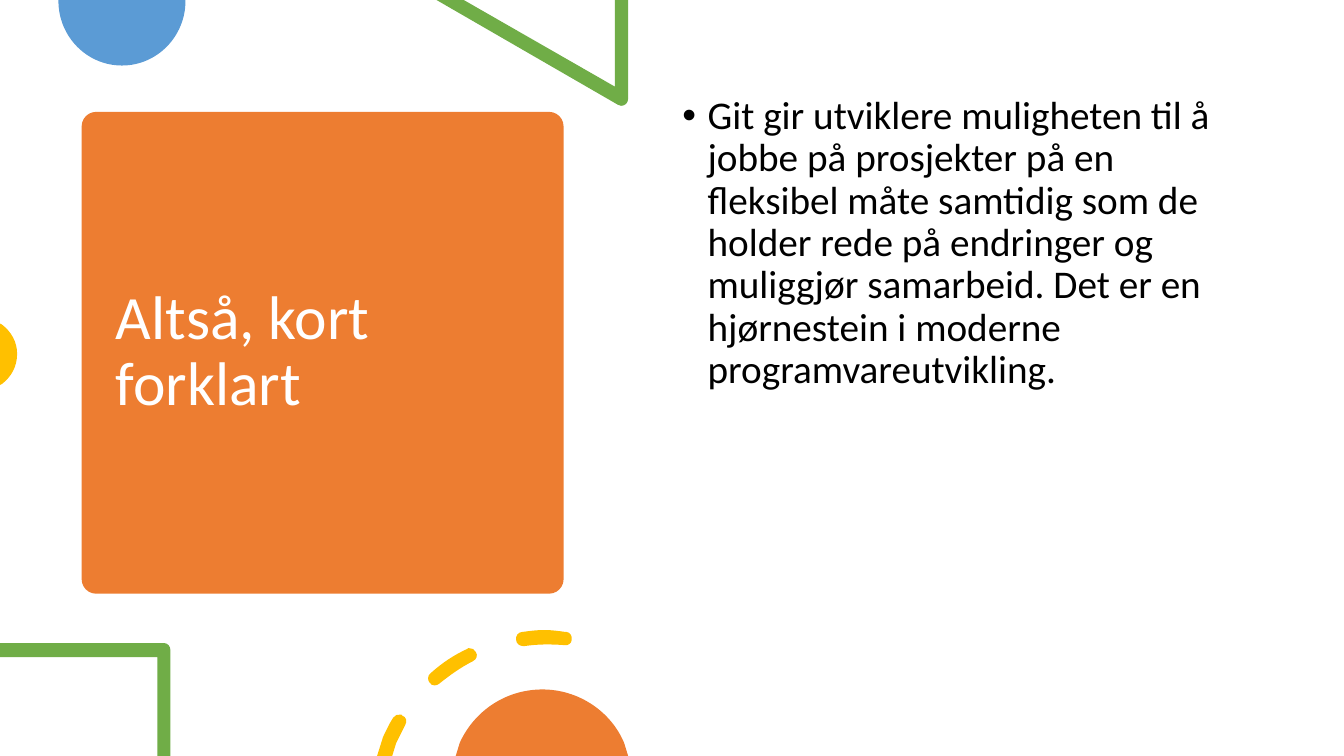
import lxml.etree
import pptx
import pptx.dml.color
import pptx.enum.shapes
import pptx.enum.text
import pptx.oxml.ns
import pptx.util

ORANGE = pptx.dml.color.RGBColor(0xED, 0x7D, 0x31)
BLUE = pptx.dml.color.RGBColor(0x5B, 0x9B, 0xD5)
GREEN = pptx.dml.color.RGBColor(0x70, 0xAD, 0x47)
YELLOW = pptx.dml.color.RGBColor(0xFF, 0xC0, 0x00)
WHITE = pptx.dml.color.RGBColor(0xFF, 0xFF, 0xFF)
BLACK = pptx.dml.color.RGBColor(0x00, 0x00, 0x00)

COLUMNS, ROWS = 1333, 750

BLUE_DISC = [[(184, 0), (58, 0), (58, 1), (58, 36, 86, 65, 121, 65), (156, 65, 184, 36, 184, 1)]]
GREEN_TRIANGLE = [[(623, 0), (610, 0), (610, 86), (460, 0), (433, 0), (613, 104),
                   (614, 105, 615, 105, 616, 105), (620, 105, 623, 102, 623, 98)]]
YELLOW_DISC = [[(0, 321), (0, 382), (2, 381), (11, 374, 17, 364, 17, 351),
                (17, 339, 11, 329, 2, 322)]]
GREEN_SQUARE = [[(163, 638), (0, 638), (0, 652), (156, 652), (156, 750), (169, 750),
                 (169, 645), (169, 641, 166, 638, 163, 638)]]
YELLOW_DASHES = [
    [(397, 709), (394, 708, 392, 710, 390, 712), (386, 718, 383, 725, 380, 731), (374, 750),
     (389, 750), (393, 737), (396, 731, 399, 725, 402, 719), (404, 716, 403, 711, 399, 710),
     (399, 709, 398, 709, 397, 709)],
    [(465, 643), (465, 643, 464, 643, 463, 644), (450, 650, 438, 658, 427, 668),
     (424, 670, 424, 675, 426, 677), (427, 679, 429, 680, 431, 680), (431, 680),
     (433, 680, 435, 679, 436, 678), (446, 670, 457, 662, 469, 656),
     (473, 654, 474, 650, 472, 647), (471, 644, 468, 643, 465, 643)],
    [(540, 625), (532, 625, 525, 626, 518, 627), (514, 627, 511, 631, 512, 635),
     (512, 638, 515, 641, 519, 641), (519, 641, 519, 641, 520, 641),
     (533, 639, 546, 639, 560, 640), (563, 641, 567, 638, 567, 635),
     (568, 631, 565, 627, 562, 627), (562, 627, 561, 627, 561, 627),
     (554, 626, 547, 625, 540, 625)],
]
ORANGE_DISC = [[(538, 684), (501, 684, 470, 706, 456, 737), (452, 750), (623, 750),
                (619, 737), (606, 706, 574, 684, 538, 684)]]


class SlideBuilder:
    """Draws elements on one slide, with lengths in columns and rows of a fine grid."""

    font_name = "Calibri"
    line_spacing = 0.9

    def __init__(self, presentation):
        self.column = presentation.slide_width / COLUMNS
        self.row = presentation.slide_height / ROWS
        self.slide = presentation.slides.add_slide(presentation.slide_layouts[6])

    def point(self, column, row):
        return round(column * self.column), round(row * self.row)

    def box(self, left, top, width, height):
        return self.point(left, top) + self.point(width, height)

    def paint(self, shape, color):
        shape.shadow.inherit = False
        shape.fill.solid()
        shape.fill.fore_color.rgb = color
        shape.line.fill.background()

    def rounded_panel(self, area, color, corner):
        kind = pptx.enum.shapes.MSO_SHAPE.ROUNDED_RECTANGLE
        shape = self.slide.shapes.add_shape(kind, *self.box(*area))
        shape.adjustments[0] = corner
        self.paint(shape, color)

    def outline(self, contours, color):
        builder = self.slide.shapes.build_freeform(*self.point(*contours[0][0]))
        for number, (start, *steps) in enumerate(contours):
            if number:
                builder.move_to(*self.point(*start))
            points = [self.point(*step[index:index + 2])
                      for step in steps for index in range(0, len(step), 2)]
            builder.add_line_segments(points, close=True)
        shape = builder.convert_to_shape()
        self.bend(shape, [step for contour in contours for step in contour[1:]])
        self.paint(shape, color)

    def bend(self, shape, steps):
        qualify = pptx.oxml.ns.qn
        segments = iter(list(shape._element.iter(qualify("a:lnTo"))))
        for step in steps:
            first, *others = [next(segments) for _ in range(len(step) // 2)]
            if others:
                first.tag = qualify("a:cubicBezTo")
                for segment in others:
                    first.append(segment[0])
                    segment.getparent().remove(segment)

    def text(self, area, wording, size, color, anchor, bullet=False):
        frame = self.slide.shapes.add_textbox(*self.box(*area)).text_frame
        frame.word_wrap = True
        frame.vertical_anchor = anchor
        paragraph = frame.paragraphs[0]
        paragraph.line_spacing = self.line_spacing
        if bullet:
            self.add_bullet(paragraph)
        run = paragraph.add_run()
        run.text = wording
        run.font.name = self.font_name
        run.font.size = pptx.util.Pt(size)
        run.font.color.rgb = color

    def add_bullet(self, paragraph):
        properties = paragraph._p.get_or_add_pPr()
        indent = round(25 * self.column)
        properties.set("marL", str(indent))
        properties.set("indent", str(-indent))
        qualify = pptx.oxml.ns.qn
        lxml.etree.SubElement(properties, qualify("a:buFont"), typeface="Arial")
        lxml.etree.SubElement(properties, qualify("a:buChar"), char="•")


def main():
    presentation = pptx.Presentation()
    presentation.slide_width = pptx.util.Inches(13.33)
    presentation.slide_height = pptx.util.Inches(7.5)
    builder = SlideBuilder(presentation)
    anchors = pptx.enum.text.MSO_ANCHOR

    builder.rounded_panel((81, 111, 478, 478), ORANGE, 0.03)
    builder.text((105, 122, 431, 456), "Altså, kort forklart", 44, WHITE, anchors.MIDDLE)
    builder.outline(BLUE_DISC, BLUE)
    builder.outline(GREEN_TRIANGLE, GREEN)
    builder.outline(YELLOW_DISC, YELLOW)
    builder.text(
        (667, 90, 575, 535),
        "Git gir utviklere muligheten til å jobbe på prosjekter på en fleksibel måte "
        "samtidig som de holder rede på endringer og muliggjør samarbeid. "
        "Det er en hjørnestein i moderne programvareutvikling.",
        28, BLACK, anchors.TOP, bullet=True)
    builder.outline(GREEN_SQUARE, GREEN)
    builder.outline(YELLOW_DASHES, YELLOW)
    builder.outline(ORANGE_DISC, ORANGE)
    presentation.save("out.pptx")


if __name__ == "__main__":
    main()
